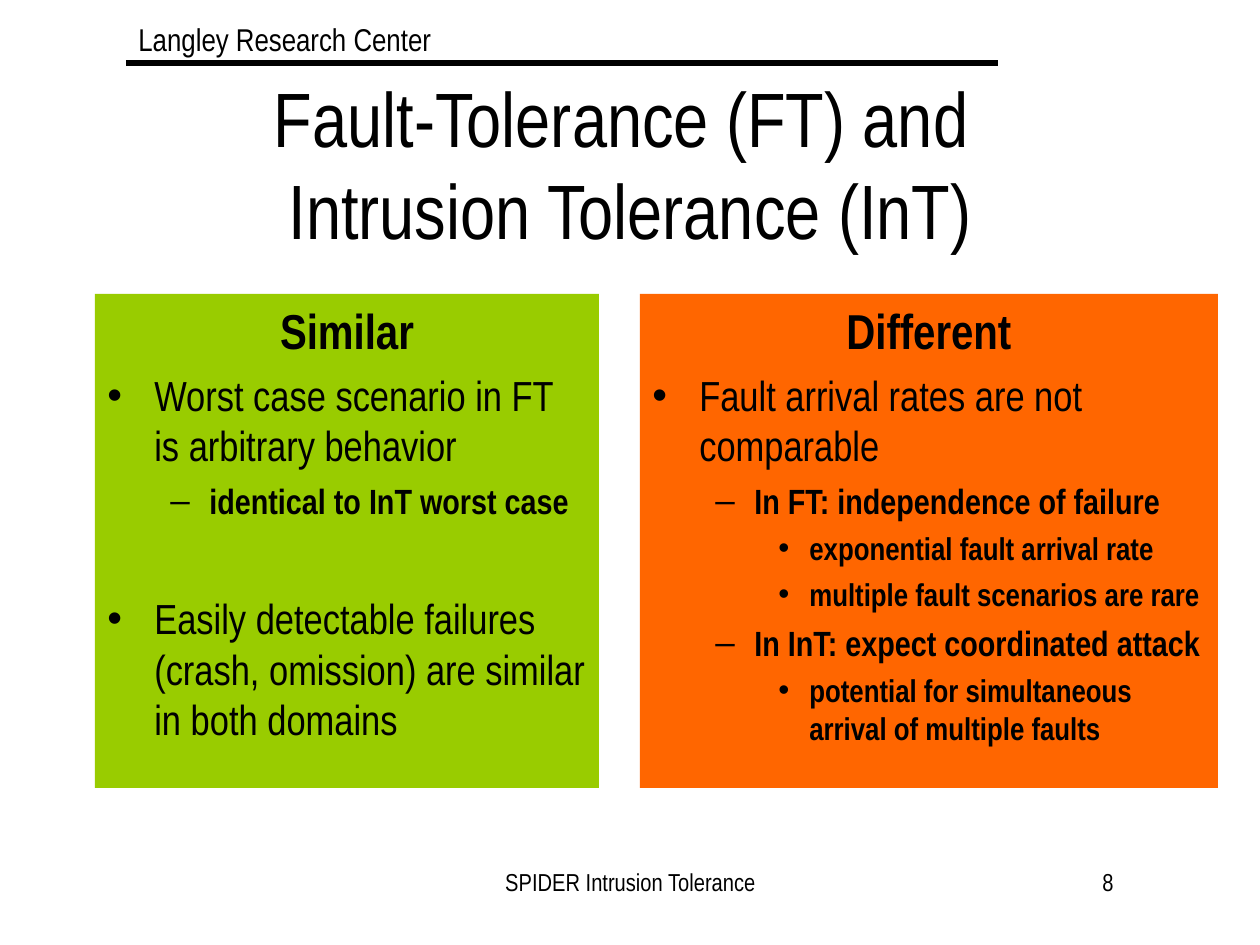
from dataclasses import dataclass

from lxml import etree
from pptx import Presentation
from pptx import util as u
from pptx.dml.color import RGBColor
from pptx.enum import shapes, text
from pptx.oxml import ns

PX = 914400 // 126


@dataclass(frozen=True)
class Theme:
    """Hold the colours and type sizes of the slide."""
    font: str = "Arial Narrow"
    ink: RGBColor = RGBColor.from_string("000000")
    similar: RGBColor = RGBColor.from_string("99CC00")
    different: RGBColor = RGBColor.from_string("FF6600")
    title: int = 44
    heading: int = 28
    header: int = 18
    footer: int = 14
    rule: float = 3.75


THEME = Theme()
LEVELS = [
    {"size": 24, "bold": False, "space": 6, "margin": 47, "hang": 47, "bullet": "•"},
    {"size": 20, "bold": True, "space": 5, "margin": 102, "hang": 39, "bullet": "–"},
    {"size": 18, "bold": True, "space": 4.5, "margin": 157, "hang": 31, "bullet": "•"},
]
SIMILAR = [
    (0, "Worst case scenario in FT is arbitrary behavior"),
    (1, "identical to InT worst case"),
    (0, "Easily detectable failures (crash, omission) are similar in both domains", 41),
]
DIFFERENT = [
    (0, "Fault arrival rates are not comparable"),
    (1, "In FT: independence of failure"),
    (2, "exponential fault arrival rate"),
    (2, "multiple fault scenarios are rare"),
    (1, "In InT: expect coordinated attack"),
    (2, "potential for simultaneous arrival of multiple faults"),
]


def emu(box):
    """Turn px lengths into EMU."""
    return [u.Emu(length * PX) for length in box]


def apply(target, values):
    """Set each named value on the target."""
    for name, value in values.items():
        setattr(target, name, value)


def write(paragraph, words, size, bold=False, align=text.PP_ALIGN.LEFT):
    """Put words into a paragraph and format them."""
    paragraph.text = words
    paragraph.alignment = align
    apply(paragraph.font, {"name": THEME.font, "size": u.Pt(size), "bold": bold})
    paragraph.font.color.rgb = THEME.ink


def add_bullet(paragraph, level):
    """Give a paragraph the hanging bullet of its level."""
    properties = paragraph._p.get_or_add_pPr()
    properties.set("marL", str(level["margin"] * PX))
    properties.set("indent", str(-level["hang"] * PX))
    colour = etree.SubElement(properties, ns.qn("a:buClr"))
    etree.SubElement(colour, ns.qn("a:srgbClr")).set("val", str(THEME.ink))
    etree.SubElement(properties, ns.qn("a:buFont")).set("typeface", "Arial")
    etree.SubElement(properties, ns.qn("a:buChar")).set("char", level["bullet"])


def add_label(slide, box, words, size, align=text.PP_ALIGN.LEFT):
    """Add one line of text in a box."""
    frame = slide.shapes.add_textbox(*emu(box)).text_frame
    frame.word_wrap = True
    write(frame.paragraphs[0], words, size, align=align)


def add_header(slide, box):
    """Add the centre name above a rule along the bottom of the box."""
    left, top, width, height = box
    add_label(slide, (left, top, 372, height), "Langley Research Center", THEME.header)
    bottom = top + height
    rule = slide.shapes.add_connector(
        shapes.MSO_CONNECTOR.STRAIGHT, *emu((left, bottom, left + width, bottom)))
    rule.line.color.rgb = THEME.ink
    rule.line.width = u.Pt(THEME.rule)
    etree.SubElement(rule._element.spPr, ns.qn("a:effectLst"))


def place_title(slide, box):
    """Move and format the title placeholder."""
    title = slide.shapes.title
    apply(title, dict(zip(("left", "top", "width", "height"), emu(box))))
    frame = title.text_frame
    apply(frame, {"word_wrap": True, "auto_size": text.MSO_AUTO_SIZE.NONE,
                  "vertical_anchor": text.MSO_ANCHOR.MIDDLE})
    write(frame.paragraphs[0], "Fault-Tolerance (FT) and \vIntrusion Tolerance (InT)",
          THEME.title, align=text.PP_ALIGN.CENTER)


def add_panel(slide, box, fill, heading, points):
    """Add a filled panel with a centred heading and bulleted points."""
    shape = slide.shapes.add_shape(shapes.MSO_SHAPE.RECTANGLE, *emu(box))
    shape.shadow.inherit = False
    shape.fill.solid()
    shape.fill.fore_color.rgb = fill
    shape.line.fill.background()
    frame = shape.text_frame
    apply(frame, {"word_wrap": True, "vertical_anchor": text.MSO_ANCHOR.TOP})
    write(frame.paragraphs[0], heading, THEME.heading, True, text.PP_ALIGN.CENTER)
    for depth, words, *gap in points:
        level = LEVELS[depth]
        paragraph = frame.add_paragraph()
        add_bullet(paragraph, level)
        apply(paragraph, {"level": depth,
                          "space_before": u.Pt(gap[0] if gap else level["space"])})
        write(paragraph, words, level["size"], level["bold"])


def add_footer(slide, box):
    """Add the talk name and the slide number."""
    left, top, width, height = box
    centre = text.PP_ALIGN.CENTER
    add_label(slide, (left, top, 399, height), "SPIDER Intrusion Tolerance",
              THEME.footer, centre)
    add_label(slide, (left + width - 262, top, 262, height), "8", THEME.footer, centre)


def main():
    """Build and save the presentation."""
    presentation = Presentation()
    apply(presentation, {"slide_width": u.Inches(10), "slide_height": u.Inches(7.5)})
    slide = presentation.slides.add_slide(presentation.slide_layouts[5])
    add_header(slide, (126, 14, 872, 49))
    place_title(slide, (95, 84, 1071, 158))
    add_panel(slide, (95, 294, 504, 494), THEME.similar, "Similar", SIMILAR)
    add_panel(slide, (640, 294, 578, 494), THEME.different, "Different", DIFFERENT)
    add_footer(slide, (431, 861, 808, 63))
    presentation.save("out.pptx")


if __name__ == "__main__":
    main()
